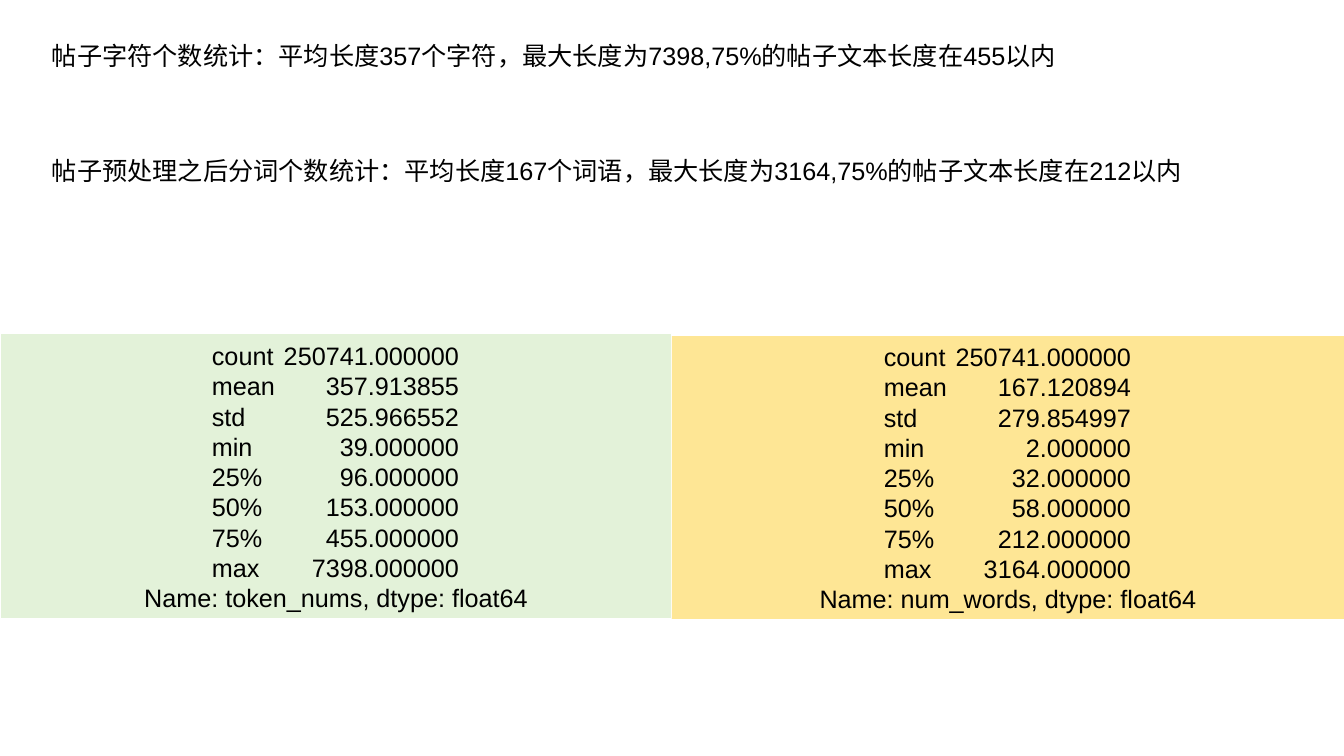
from lxml import etree
from pptx import Presentation
from pptx.dml.color import RGBColor
from pptx.enum.shapes import MSO_SHAPE as Shape
from pptx.enum.text import MSO_ANCHOR as Anchor, PP_ALIGN as Align
from pptx.oxml.ns import qn
from pptx.util import Pt

EMU_PER_PX = 914400 / 100.8
SLIDE_W, SLIDE_H = 1344, 756
LABEL_TAB, VALUE_TAB = 202, 449  # measured from the panel's text inset

STATS = ["count", "mean", "std", "min", "25%", "50%", "75%", "max"]
TOKEN_VALUES = ["250741.000000", "357.913855", "525.966552", "39.000000",
                "96.000000", "153.000000", "455.000000", "7398.000000"]
WORD_VALUES = ["250741.000000", "167.120894", "279.854997", "2.000000",
               "32.000000", "58.000000", "212.000000", "3164.000000"]


def px(length):
    return round(length * EMU_PER_PX)


def color(hex_code):
    return RGBColor.from_string(hex_code)


class StatsSlide:
    font, size, ink = "Arial", Pt(18), "000000"
    line_height = Pt(21.6)

    def __init__(self, slide):
        self.slide = slide

    def style(self, paragraph, align):
        paragraph.alignment = align
        for run in paragraph.runs:
            run.font.name = self.font
            run.font.size = self.size
            run.font.color.rgb = color(self.ink)

    def set_tabs(self, paragraph):
        tabs = etree.SubElement(paragraph._p.get_or_add_pPr(), qn("a:tabLst"))
        for position, kind in ((LABEL_TAB, "l"), (VALUE_TAB, "r")):
            etree.SubElement(tabs, qn("a:tab"), pos=str(px(position)), algn=kind)

    def sentence(self, top, text):
        box = self.slide.shapes.add_textbox(px(42), px(top), px(1208), px(40))
        box.text_frame.word_wrap = True
        box.text_frame.text = text
        self.style(box.text_frame.paragraphs[0], Align.LEFT)

    def panel(self, left, top, height, fill, values, caption, border=None):
        panel = self.slide.shapes.add_shape(
            Shape.RECTANGLE, px(left), px(top), px(SLIDE_W // 2), px(height))
        panel.shadow.inherit = False
        panel.fill.solid()
        panel.fill.fore_color.rgb = color(fill)
        if border:
            panel.line.color.rgb = color(border)
            panel.line.width = Pt(0.75)
        else:
            panel.line.fill.background()

        frame = panel.text_frame
        frame.word_wrap = True
        frame.vertical_anchor = Anchor.MIDDLE
        rows = [f"\t{stat}\t{value}" for stat, value in zip(STATS, values)]
        frame.text = "\n".join(rows + [caption])
        for paragraph in frame.paragraphs:
            paragraph.line_spacing = self.line_height
            self.style(paragraph, Align.LEFT)
        for paragraph in frame.paragraphs[:-1]:
            self.set_tabs(paragraph)
        frame.paragraphs[-1].alignment = Align.CENTER


def main():
    deck = Presentation()
    deck.slide_width, deck.slide_height = px(SLIDE_W), px(SLIDE_H)
    stats = StatsSlide(deck.slides.add_slide(deck.slide_layouts[6]))

    # Statistics panels
    stats.panel(0, 334, 285, "E3F2D9", TOKEN_VALUES,
                "Name: token_nums, dtype: float64", border="FFFFFF")
    stats.panel(SLIDE_W // 2, 336, 283, "FEE695", WORD_VALUES,
                "Name: num_words, dtype: float64")

    # Summary sentences
    stats.sentence(35, "帖子字符个数统计：平均长度357个字符，"
                       "最大长度为7398,75%的帖子文本长度在455以内")
    stats.sentence(150, "帖子预处理之后分词个数统计：平均长度167个词语，"
                        "最大长度为3164,75%的帖子文本长度在212以内")

    deck.save("out.pptx")


if __name__ == "__main__":
    main()
